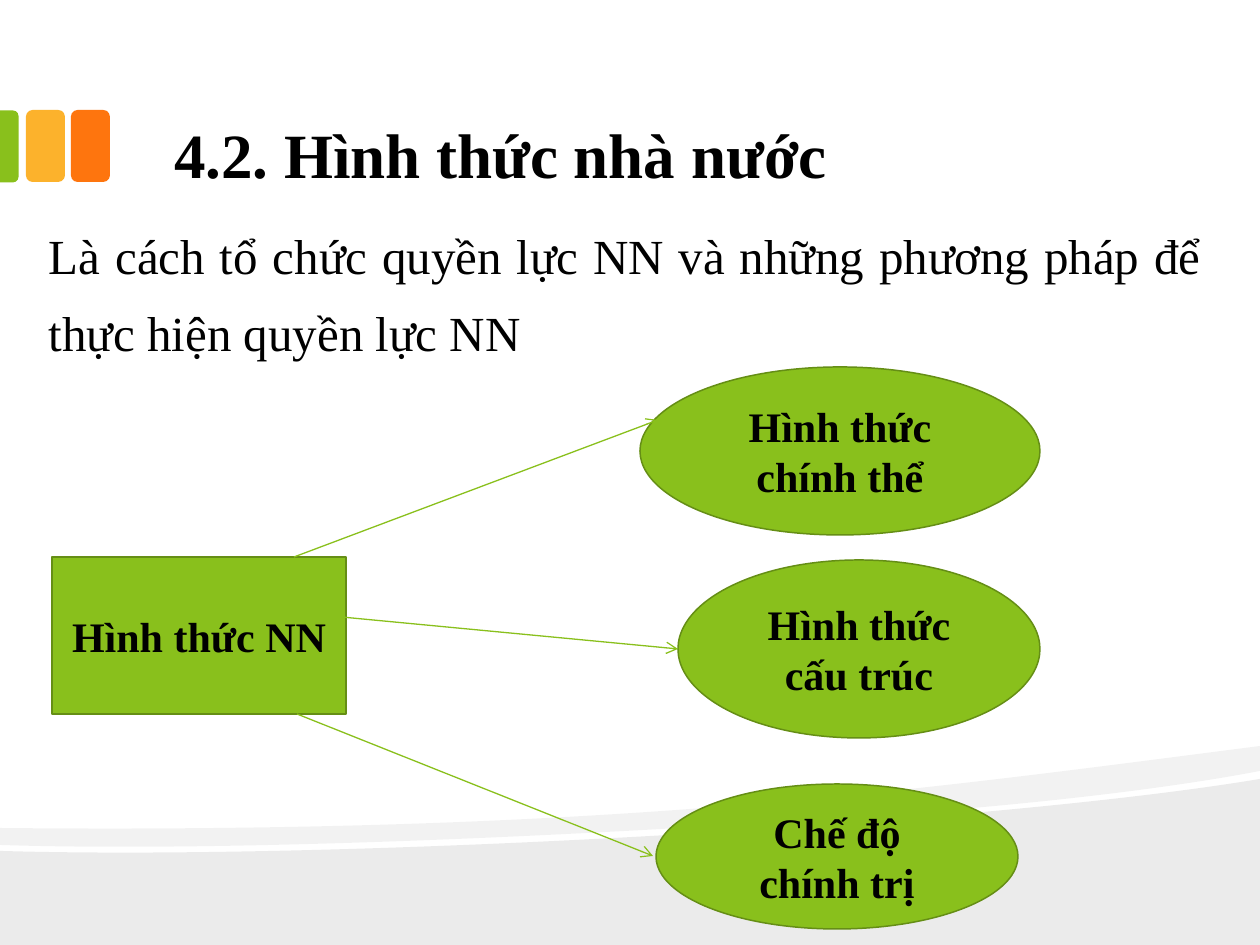
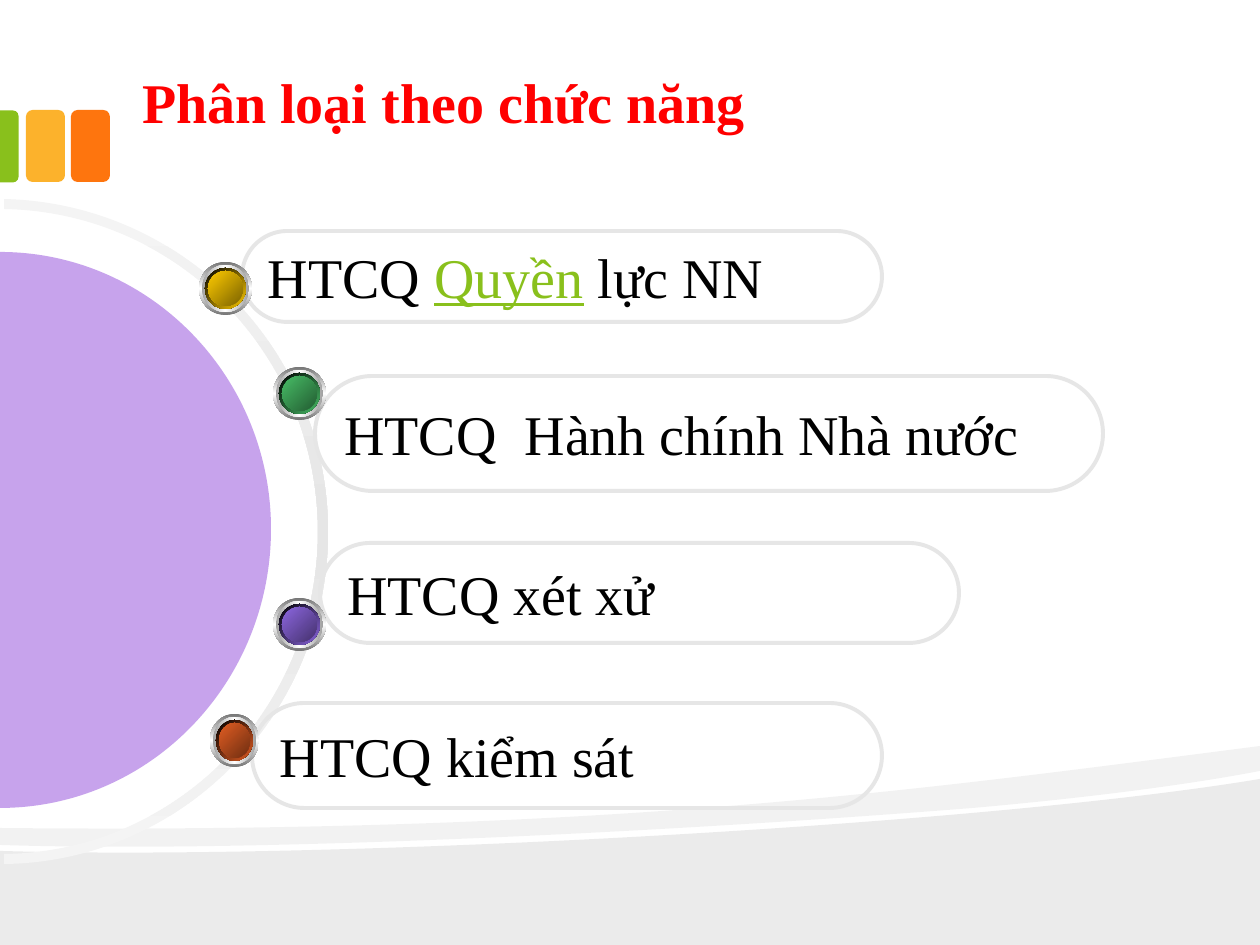
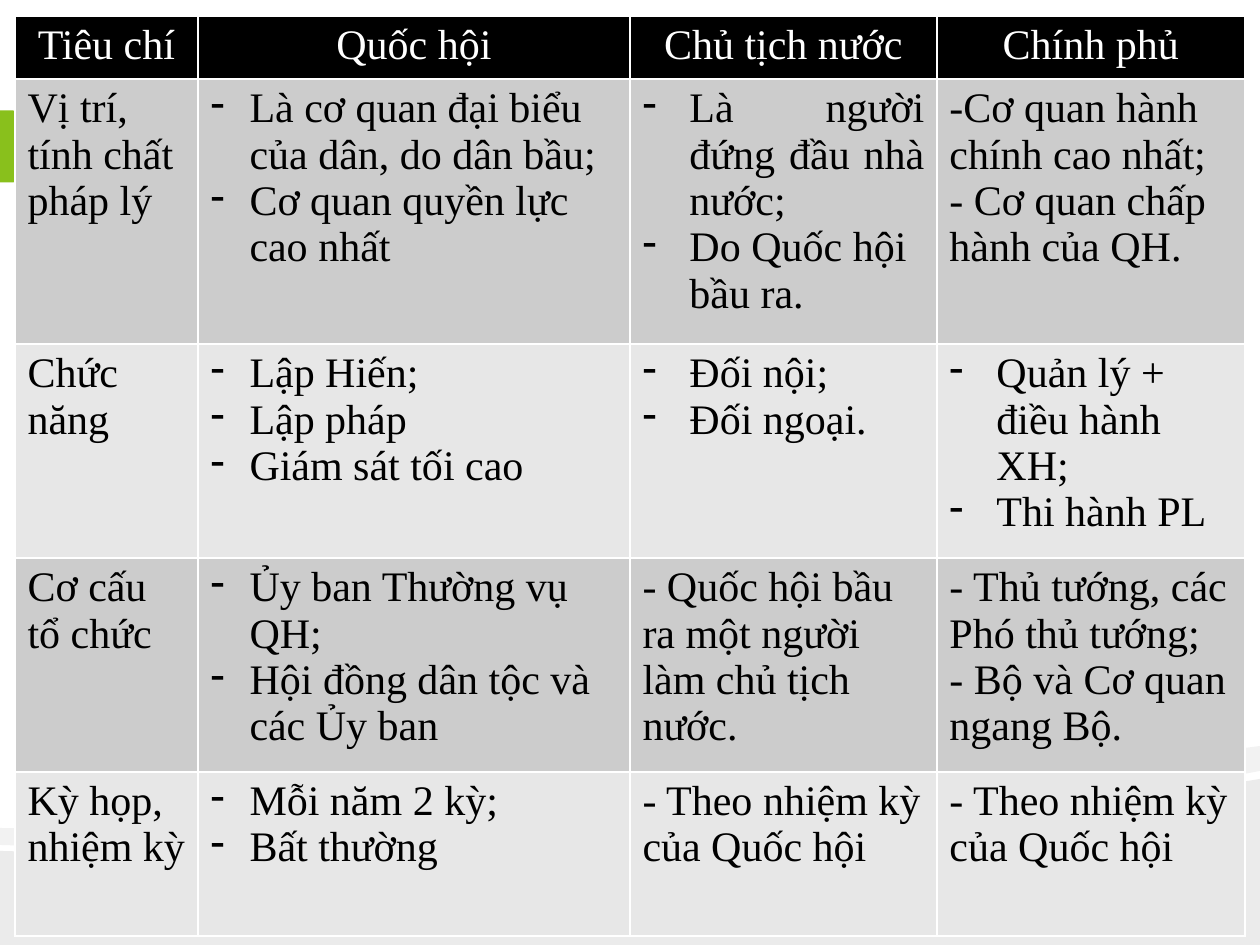
from lxml import etree
from pptx import Presentation
from pptx.dml.color import RGBColor
from pptx.enum.shapes import MSO_CONNECTOR, MSO_SHAPE
from pptx.enum.text import MSO_ANCHOR, MSO_AUTO_SIZE, PP_ALIGN
from pptx.oxml.ns import qn
from pptx.util import Pt

PX = 7257  # EMU in one px, 126 px to the inch
FONT = "Times New Roman"
BLACK, WHITE, RED = "000000", "FFFFFF", "FF0000"
GREEN, DARK_GREEN, AMBER, ORANGE = "89C01C", "658E15", "FCB22C", "FE750E"
PALE, RAIL, PURPLE = "F4F4F4", "E6E6E6", "6600CC"
RECT, ELLIPSE = MSO_SHAPE.RECTANGLE, MSO_SHAPE.OVAL
ROUND_RECT, ROUND_TOP = MSO_SHAPE.ROUNDED_RECTANGLE, MSO_SHAPE.ROUND_2_SAME_RECTANGLE
STRAIGHT = MSO_CONNECTOR.STRAIGHT
LEFT, CENTER, JUSTIFY = PP_ALIGN.LEFT, PP_ALIGN.CENTER, PP_ALIGN.JUSTIFY
TOP, MIDDLE, BOTTOM = MSO_ANCHOR.TOP, MSO_ANCHOR.MIDDLE, MSO_ANCHOR.BOTTOM
NO_FIT = MSO_AUTO_SIZE.NONE
rgb = RGBColor.from_string


def paint(sp, fill=None, alpha=None, angle=0, line=None, width=0.85):
    """Fill with one colour, or with a list of evenly spaced gradient colours."""
    sp.shadow.inherit = False
    if fill is None:
        sp.fill.background()
    elif isinstance(fill, list):
        sp.fill.gradient()
        sp.fill.gradient_angle = (360 - angle) % 360
        stops = sp.element.spPr.find(qn("a:gradFill")).find(qn("a:gsLst"))
        for stop in list(stops):
            stops.remove(stop)
        for i, color in enumerate(fill):
            stop = etree.SubElement(stops, qn("a:gs"), pos=str(100000 * i // (len(fill) - 1)))
            etree.SubElement(stop, qn("a:srgbClr"), val=color)
    else:
        sp.fill.solid()
        sp.fill.fore_color.rgb = rgb(fill)
        if alpha:
            color = sp.element.spPr.find(qn("a:solidFill"))[0]
            etree.SubElement(color, qn("a:alpha"), val=str(alpha * 1000))
    if line:
        sp.line.color.rgb = rgb(line)
        sp.line.width = Pt(width)
    else:
        sp.line.fill.background()


def write(p, text, size, color=BLACK, bold=False):
    r = p.add_run()
    r.text = text
    r.font.name, r.font.size, r.font.bold = FONT, Pt(size), bold
    r.font.color.rgb = rgb(color)
    return r


prs = Presentation()
prs.slide_width, prs.slide_height = 1260 * PX, 945 * PX
form_slide, function_slide = [prs.slides.add_slide(prs.slide_layouts[5]) for _ in range(2)]
table_slide = prs.slides.add_slide(prs.slide_layouts[6])

# Curved outlines: the two waves of the master, then the ring and disc of slide 2.
# Each step is one corner, or the three points of a Bezier curve.
outlines = [
    (table_slide, BLACK, 8, (1260, 779), [
        [(1260, 945)], [(0, 945)], [(0, 851)],
        [(333, 861), (985, 825), (1260, 779)]]),
    (table_slide, BLACK, 5, (1260, 746), [
        [(1260, 771)],
        [(1187, 785), (1086, 798), (973, 808)],
        [(658, 833), (243, 853), (0, 845)],
        [(0, 828)],
        [(616, 834), (917, 790), (1260, 746)]]),
    (function_slide, [PALE, RAIL, PALE], None, (4, 209), [
        [(178, 212), (318, 355), (318, 532)],
        [(318, 708), (178, 852), (4, 854)],
        [(4, 864)],
        [(183, 862), (328, 713), (328, 532)],
        [(328, 350), (183, 203), (4, 199)]]),
    (function_slide, PURPLE, 36, (0, 252), [
        [(150, 252), (271, 377), (271, 529)],
        [(271, 683), (150, 808), (0, 808)]]),
]
for slide, fill, alpha, start, steps in outlines:
    builder = slide.shapes.build_freeform(*start, scale=PX)
    builder.add_line_segments([point for step in steps for point in step])
    sp = builder.convert_to_shape()
    paint(sp, fill, alpha=alpha, angle=90)
    lines = sp.element.spPr.findall(".//" + qn("a:lnTo"))
    for step in steps:
        step_lines, lines = lines[:len(step)], lines[len(step):]
        if len(step) == 3:
            curve = etree.Element(qn("a:cubicBezTo"))
            step_lines[0].addprevious(curve)
            for line in step_lines:
                curve.append(line[0])
                line.getparent().remove(line)

# The rest of the shared decoration, then all of it goes behind the master's placeholders
shapes = table_slide.shapes
for left, color in [(71, ORANGE), (26, AMBER)]:
    paint(shapes.add_shape(ROUND_RECT, left * PX, 110 * PX, 39 * PX, 72 * PX), color)
tab = shapes.add_shape(ROUND_TOP, -27 * PX, 137 * PX, 72 * PX, 19 * PX)
tab.adjustments[0], tab.adjustments[1] = 0.29, 0
tab.rotation = 90
paint(tab, GREEN)
master_tree = prs.slide_master.shapes.element
for i, sp in enumerate(list(shapes)):
    master_tree.insert(2 + i, sp.element)

# Titles
titles = [
    (form_slide, "4.2. Hình thức nhà nước", 36, BLACK, BOTTOM, (158, 53, 935, 147), 1),
    (function_slide, "Phân loại theo chức năng", 32, RED, TOP, (126, 72, 1103, 158), 0.8),
]
for slide, text, size, color, anchor, box, spacing in titles:
    title = slide.shapes.title
    title.left, title.top, title.width, title.height = [v * PX for v in box]
    tf = title.text_frame
    tf.auto_size, tf.vertical_anchor = NO_FIT, anchor
    tf.margin_left = tf.margin_right = 16 * PX
    tf.margin_top = tf.margin_bottom = 9 * PX
    p = tf.paragraphs[0]
    p.alignment, p.line_spacing = LEFT, spacing
    write(p, text, size, color, True)

# Slide 1: forms of the state
shapes = form_slide.shapes
tf = shapes.add_textbox(32 * PX, 199 * PX, 1186 * PX, 735 * PX).text_frame
tf.word_wrap = True
tf.margin_left = tf.margin_right = 17 * PX
tf.margin_top = tf.margin_bottom = 9 * PX
p = tf.paragraphs[0]
p.alignment, p.line_spacing = JUSTIFY, 1.3
write(p, "Là cách tổ chức quyền lực NN và những phương pháp để thực hiện quyền lực NN", 28)

nodes = [
    (RECT, "Hình thức NN", (52, 557, 294, 157)),
    (ELLIPSE, "Hình thức chính thể", (640, 367, 400, 168)),
    (ELLIPSE, "Chế độ chính trị", (656, 784, 362, 145)),
    (ELLIPSE, "Hình thức cấu trúc", (678, 560, 362, 178)),
]
for kind, text, box in nodes:
    sp = shapes.add_shape(kind, *[v * PX for v in box])
    paint(sp, GREEN, line=DARK_GREEN)
    tf = sp.text_frame
    tf.word_wrap, tf.vertical_anchor = True, MIDDLE
    p = tf.paragraphs[0]
    p.alignment = CENTER
    write(p, text, 24, bold=True)

for ends in [(294, 557, 658, 420), (278, 611, 678, 649), (297, 714, 653, 856)]:
    arrow = shapes.add_connector(STRAIGHT, *[v * PX for v in ends])
    arrow.line.color.rgb = rgb(GREEN)
    arrow.line.width = Pt(0.75)
    ln = arrow.element.spPr.find(qn("a:ln"))
    etree.SubElement(ln, qn("a:tailEnd"), type="arrow")
    etree.SubElement(arrow.element.spPr, qn("a:effectLst"))

# Slide 2: branches by function
shapes = function_slide.shapes
pills = [
    ((252, 703, 630, 105), ["HTCQ kiểm sát"]),
    ((320, 543, 639, 100), ["HTCQ xét xử"]),
    ((315, 376, 788, 115), ["HTCQ  Hành chính Nhà nước"]),
    ((242, 231, 640, 91), ["HTCQ ", "Quyền", " lực NN"]),
]
for box, texts in pills:
    pill = shapes.add_shape(ROUND_RECT, *[v * PX for v in box])
    pill.adjustments[0] = 0.5
    paint(pill, line=RAIL, width=2.25)
    tf = pill.text_frame
    tf.word_wrap, tf.vertical_anchor = True, MIDDLE
    p = tf.paragraphs[0]
    p.alignment = LEFT
    for text in texts:
        r = write(p, text, 32)
        if text == "Quyền":
            r.font.color.rgb = rgb(GREEN)
            r.font.underline = True

balls = [
    (199, 262, 53, "FFCC00", "7C6300"),
    (273, 367, 53, "48BE67", "235C32"),
    (273, 598, 53, "8D67E1", "45326D"),
    (210, 714, 49, "E35E23", "6E2E11"),
]
for left, top, width, bright, dark in balls:
    layers = [
        (0, ["767676", WHITE, "767676"], 90),
        (3, ["A2A2A2", WHITE, "A2A2A2"], 0),
        (6, [BLACK, bright], 45),
        (9, [bright, dark], 45),
    ]
    group = shapes.add_group_shape()
    for inset, fill, angle in layers:
        sp = group.shapes.add_shape(ELLIPSE, (left + inset) * PX, (top + inset) * PX,
                                    (width - 2 * inset) * PX, (53 - 2 * inset) * PX)
        paint(sp, fill, angle=angle)

# Slide 3: comparison table
rows = [
    [["Tiêu chí"], ["Quốc hội"], ["Chủ tịch nước"], ["Chính phủ"]],
    [["Vị trí, tính chất pháp lý"],
     ["Là cơ quan đại biểu của dân, do dân bầu;", "Cơ quan quyền lực cao nhất"],
     ["Là người đứng đầu nhà nước;", "Do Quốc hội bầu ra."],
     ["-Cơ quan hành chính cao nhất;", "- Cơ quan chấp hành của QH."]],
    [["Chức năng"],
     ["Lập Hiến;", "Lập pháp", "Giám sát tối cao"],
     ["Đối nội;", "Đối ngoại."],
     ["Quản lý + điều hành XH;", "Thi hành PL"]],
    [["Cơ cấu tổ chức"],
     ["Ủy ban Thường vụ QH;", "Hội đồng dân tộc và các Ủy ban"],
     ["- Quốc hội bầu ra một người làm chủ tịch nước."],
     ["- Thủ tướng, các Phó thủ tướng;", "- Bộ và Cơ quan ngang Bộ."]],
    [["Kỳ họp, nhiệm kỳ"],
     ["Mỗi năm 2 kỳ;", "Bất thường"],
     ["- Theo nhiệm kỳ của Quốc hội"],
     ["- Theo nhiệm kỳ của Quốc hội"]],
]
table = table_slide.shapes.add_table(5, 4, 15 * PX, 16 * PX, 1230 * PX, 920 * PX).table
for column, width in zip(table.columns, [183, 432, 307, 308]):
    column.width = width * PX
for row, height in zip(table.rows, [63, 265, 214, 214, 164]):
    row.height = height * PX
for i, row in enumerate(rows):
    for j, texts in enumerate(row):
        cell = table.cell(i, j)
        cell.fill.solid()
        cell.fill.fore_color.rgb = rgb(BLACK if i == 0 else "CCCCCC" if i % 2 else "E7E7E7")
        tcPr = cell._tc.get_or_add_tcPr()
        for k, side in enumerate(["lnL", "lnR", "lnT", "lnB"]):
            ln = etree.Element(qn("a:" + side), w=str(Pt(1)))
            etree.SubElement(etree.SubElement(ln, qn("a:solidFill")), qn("a:srgbClr"), val=WHITE)
            tcPr.insert(k, ln)
        for k, text in enumerate(texts):
            tf = cell.text_frame
            p = tf.paragraphs[0] if k == 0 else tf.add_paragraph()
            if i and j and not text.startswith("-"):
                indent = (39 if j == 1 else 47) * PX
                pPr = p._p.get_or_add_pPr()
                pPr.set("marL", str(indent))
                pPr.set("indent", str(-indent))
                etree.SubElement(pPr, qn("a:buFontTx"))
                etree.SubElement(pPr, qn("a:buChar"), char="-")
            justified = (i, j, k) == (1, 2, 0)
            p.alignment = CENTER if i == 0 else JUSTIFY if justified else LEFT
            write(p, text, 24, BLACK if i else WHITE)

prs.save("out.pptx")
